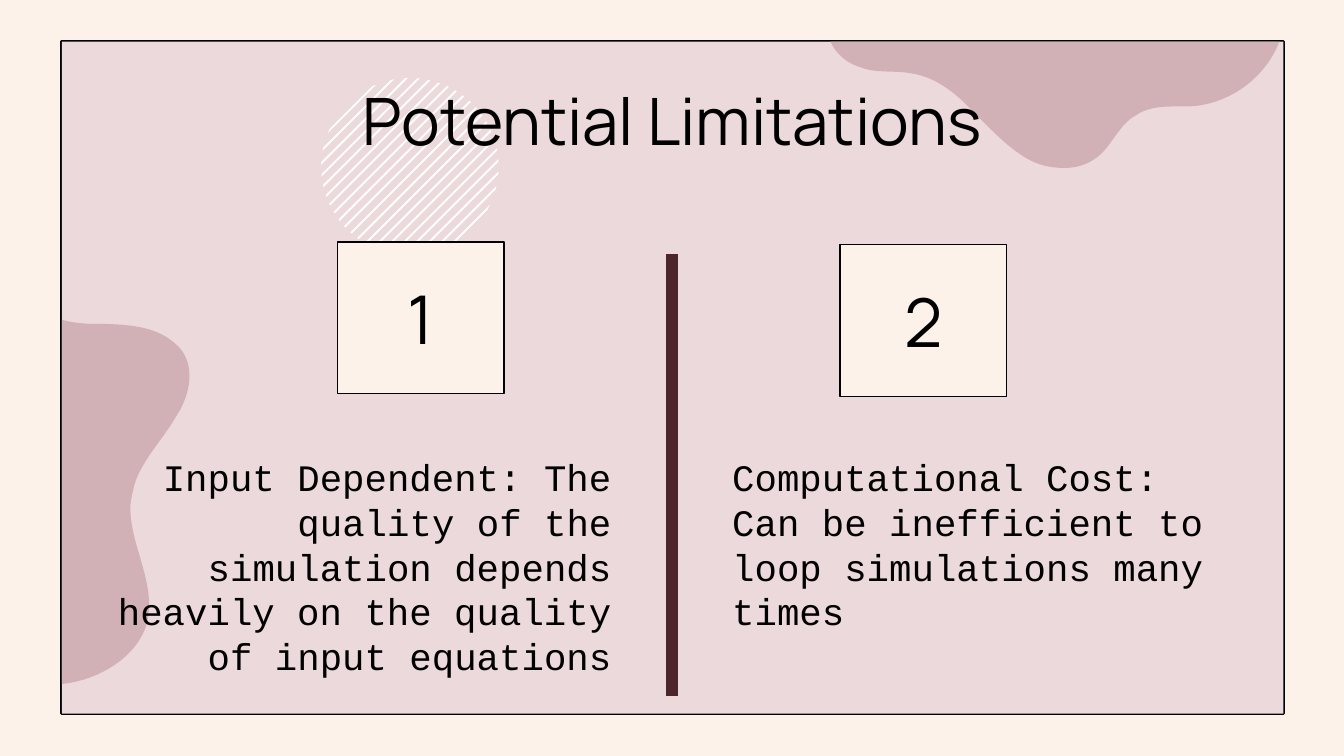
from math import sqrt

from lxml import etree
from pptx import Presentation
from pptx.dml.color import RGBColor
from pptx.enum.shapes import MSO_CONNECTOR, MSO_SHAPE
from pptx.enum.text import MSO_ANCHOR, PP_ALIGN
from pptx.oxml.ns import qn
from pptx.util import Inches, Pt

CREAM = RGBColor(0xFC, 0xF2, 0xE9)
PINK = RGBColor(0xEC, 0xD9, 0xDB)
ROSE = RGBColor(0xD1, 0xB1, 0xB6)
MAROON = RGBColor(0x4C, 0x26, 0x2A)
WHITE = RGBColor(0xFF, 0xFF, 0xFF)
BLACK = RGBColor(0, 0, 0)
LEFT, CENTER, RIGHT = PP_ALIGN.LEFT, PP_ALIGN.CENTER, PP_ALIGN.RIGHT
TOP, MIDDLE = MSO_ANCHOR.TOP, MSO_ANCHOR.MIDDLE
RECTANGLE = MSO_SHAPE.RECTANGLE
STRAIGHT = MSO_CONNECTOR.STRAIGHT
HEADING_FONT, BODY_FONT = "Manrope", "Courier New"

TITLE = "Potential Limitations"
LIMITATIONS = [
    {
        "number": "1", "number_box": (2.51, 1.8, 1.24, 1.13),
        "text": "Input Dependent: The quality of the simulation depends "
                "heavily on the quality of input equations",
        "text_box": (0.71, 3.33, 3.94, 1.78), "align": RIGHT,
    },
    {
        "number": "2", "number_box": (6.25, 1.82, 1.24, 1.13),
        "text": "Computational Cost: Can be inefficient to loop "
                "simulations many times",
        "text_box": (5.35, 3.33, 3.94, 1.45), "align": LEFT,
    },
]
PANEL = (0.46, 0.31, 9.09, 5)
DIVIDER = (5, 1.89, 5, 5.18)

# Each blob: start point, then cubic segments (control, control, end)
LEFT_BLOB = (0.46, 5.09), [
    ((0.75, 5.06), (1.02, 4.88), (1.09, 4.65)),
    ((1.1, 4.6), (1.11, 4.55), (1.11, 4.5)),
    ((1.11, 4.26), (0.97, 4.02), (0.97, 3.78)),
    ((0.97, 3.74), (0.98, 3.7), (0.99, 3.65)),
    ((1.03, 3.45), (1.2, 3.29), (1.31, 3.1)),
    ((1.37, 3.01), (1.41, 2.9), (1.41, 2.8)),
    ((1.41, 2.69), (1.37, 2.6), (1.27, 2.53)),
    ((1.13, 2.42), (0.9, 2.41), (0.7, 2.41)),
    ((0.62, 2.41), (0.54, 2.4), (0.46, 2.38)),
]
TOP_BLOB = (9.52, 0.31), [
    ((9.42, 0.57), (9.17, 0.76), (8.89, 0.79)),
    ((8.74, 0.8), (8.58, 0.77), (8.45, 0.86)),
    ((8.32, 0.93), (8.27, 1.1), (8.15, 1.18)),
    ((8.08, 1.23), (8, 1.25), (7.92, 1.25)),
    ((7.82, 1.25), (7.73, 1.23), (7.64, 1.18)),
    ((7.49, 1.09), (7.37, 0.96), (7.24, 0.83)),
    ((7.12, 0.7), (6.97, 0.58), (6.8, 0.55)),
    ((6.66, 0.52), (6.52, 0.55), (6.4, 0.5)),
    ((6.3, 0.47), (6.22, 0.4), (6.18, 0.31)),
]

# Diagonal stripes inside a circle; each lies along x + y = constant
CIRCLE_X, CIRCLE_Y, RADIUS = 3.05, 1.24, 0.66
STRIPE_COUNT, FIRST_SUM, LAST_SUM, STRIPE_WIDTH = 20, 3.41, 5.17, 0.02


def style(shape, fill=None, line=None, width=0.75):
    shape.shadow.inherit = False
    if fill is None:
        shape.fill.background()
    else:
        shape.fill.solid()
        shape.fill.fore_color.rgb = fill
    if line is None:
        shape.line.fill.background()
    else:
        shape.line.color.rgb = line
        shape.line.width = Pt(width)


def add_rectangle(shapes, box, **look):
    rectangle = shapes.add_shape(RECTANGLE, *map(Inches, box))
    style(rectangle, **look)
    return rectangle


def add_polygon(shapes, points, fill):
    corners = [(Inches(x), Inches(y)) for x, y in points]
    builder = shapes.build_freeform(*corners[0])
    builder.add_line_segments(corners[1:], close=True)
    style(builder.convert_to_shape(), fill)


def flatten(start, segments, steps=16):
    """Turn a chain of cubic Bezier segments into a list of points."""
    points = [start]
    for first, second, end in segments:
        origin = points[-1]
        for step in range(1, steps + 1):
            t = step / steps
            u = 1 - t
            points.append(tuple(
                u**3 * a + 3 * u * u * t * b + 3 * u * t * t * c + t**3 * d
                for a, b, c, d in zip(origin, first, second, end)))
    return points


def stripe_chord(total):
    """Upper and lower ends of the circle's chord along x + y = total."""
    offset = (total - CIRCLE_X - CIRCLE_Y) / 2
    reach = sqrt(max(RADIUS**2 / 2 - offset**2, 0))
    x, y = CIRCLE_X + offset, CIRCLE_Y + offset
    return (x + reach, y - reach), (x - reach, y + reach)


def write(shape, text, size, font, align, anchor, inset_y):
    frame = shape.text_frame
    frame.word_wrap = True
    frame.vertical_anchor = anchor
    frame.margin_left = frame.margin_right = Inches(0.1)
    frame.margin_top = frame.margin_bottom = Inches(inset_y)
    paragraph = frame.paragraphs[0]
    paragraph.text = text
    paragraph.alignment = align
    paragraph.font.size = Pt(size)
    paragraph.font.name = font
    paragraph.font.color.rgb = BLACK


def main():
    presentation = Presentation()
    presentation.slide_width = Inches(10)
    presentation.slide_height = Inches(10) * 9 // 16
    slide = presentation.slides.add_slide(presentation.slide_layouts[6])
    slide.background.fill.solid()
    slide.background.fill.fore_color.rgb = CREAM
    shapes = slide.shapes

    add_rectangle(shapes, PANEL, line=BLACK, width=1.5)
    add_rectangle(shapes, PANEL, fill=PINK)
    for blob in (LEFT_BLOB, TOP_BLOB):
        add_polygon(shapes, flatten(*blob), ROSE)

    stripe_gap = (LAST_SUM - FIRST_SUM) / (STRIPE_COUNT - 1)
    for index in range(STRIPE_COUNT):
        total = FIRST_SUM + index * stripe_gap
        upper, lower = stripe_chord(total)
        next_upper, next_lower = stripe_chord(total + STRIPE_WIDTH)
        add_polygon(shapes, [upper, lower, next_lower, next_upper], WHITE)

    title = shapes.add_textbox(*map(Inches, (2.12, 0.32, 5.77, 1.13)))
    write(title, TITLE, 35, HEADING_FONT, CENTER, MIDDLE, 0.1)

    for item in LIMITATIONS:
        number = add_rectangle(shapes, item["number_box"], fill=CREAM, line=BLACK)
        write(number, item["number"], 36, HEADING_FONT, CENTER, MIDDLE, 0.1)

    divider = shapes.add_connector(STRAIGHT, *map(Inches, DIVIDER))
    divider.line.color.rgb = MAROON
    divider.line.width = Pt(6)
    etree.SubElement(divider._element.spPr, qn("a:effectLst"))

    for item in LIMITATIONS:
        body = shapes.add_textbox(*map(Inches, item["text_box"]))
        write(body, item["text"], 20, BODY_FONT, item["align"], TOP, 0.05)

    presentation.save("out.pptx")


if __name__ == "__main__":
    main()
